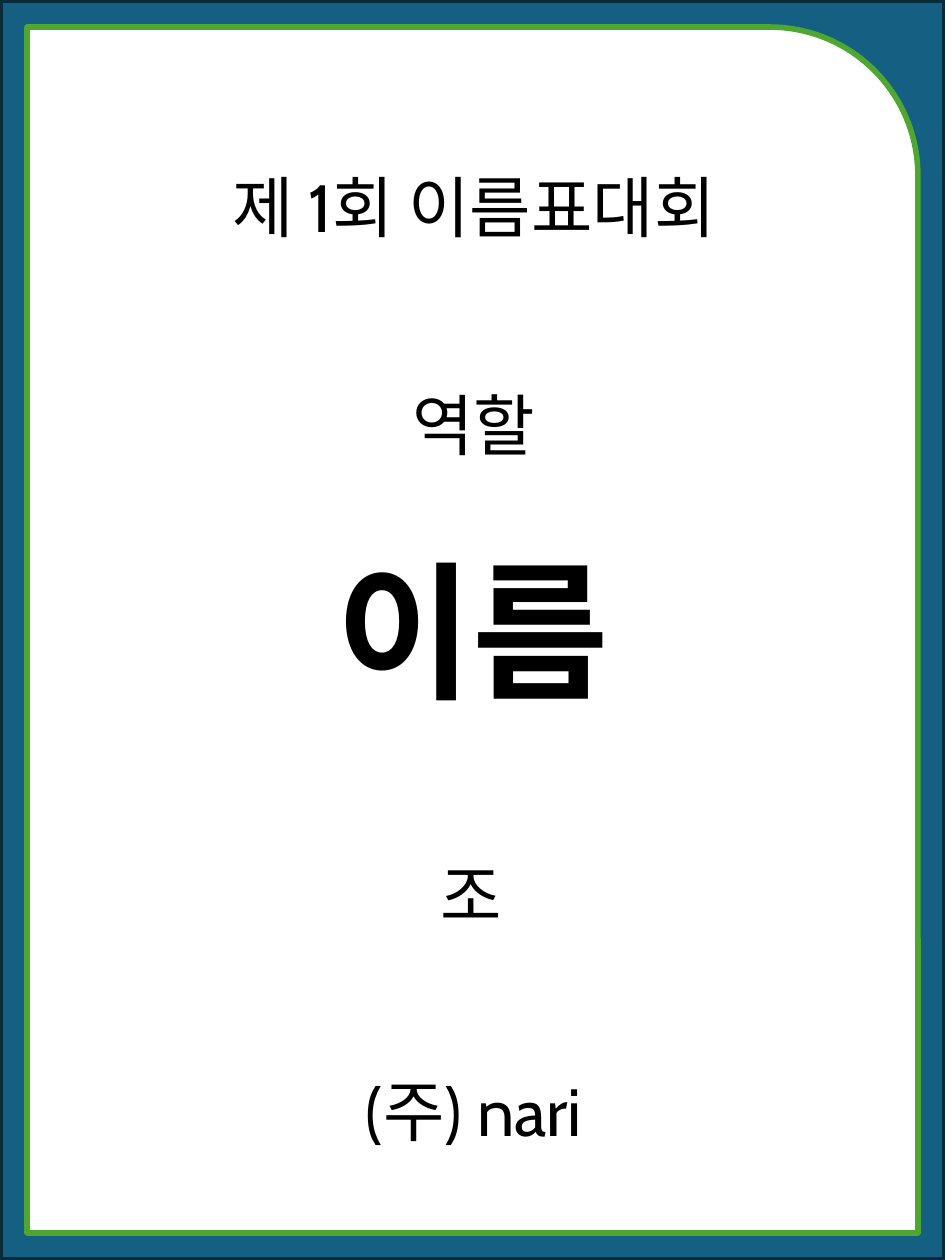
from lxml import etree
from pptx import Presentation
from pptx import util as u
from pptx.dml.color import RGBColor
from pptx.enum import shapes, text
from pptx.oxml.ns import qn

PX = 3426
WIDE, HIGH = 945, 1260
EDGE = 27
INNER = WIDE - 2 * EDGE
ROW = 107
FONT = "Cabin"
HUES = {
    "blue": "156082",
    "navy": "092A39",
    "green": "4EA72E",
    "white": "FFFFFF",
    "black": "000000",
}


def hue(name):
    return RGBColor.from_string(HUES[name])


def place(item, box):
    item.left, item.top, item.width, item.height = [u.Emu(n * PX) for n in box]


def panel(slide, kind, box, fill, line):
    item = slide.shapes.add_shape(kind, *[u.Emu(n * PX) for n in box])
    item.shadow.inherit = False
    item.fill.solid()
    item.fill.fore_color.rgb = hue(fill)
    item.line.color.rgb = hue(line)
    item.line.width = u.Pt(1.5)


def write(item, words, size=18, bold=False, wrap=True):
    frame = item.text_frame
    frame.word_wrap = wrap
    frame.auto_size = text.MSO_AUTO_SIZE.NONE
    frame.vertical_anchor = text.MSO_ANCHOR.TOP
    para = frame.paragraphs[0]
    para.alignment = text.PP_ALIGN.CENTER
    run = para.add_run()
    run.text = words
    font = run.font
    font.name = FONT
    font.size = u.Pt(size)
    font.bold = bold
    font.color.rgb = hue("black")
    east = etree.SubElement(run._r.get_or_add_rPr(), qn("a:ea"))
    east.set("typeface", FONT)


def label(slide, words, box, **style):
    item = slide.shapes.add_textbox(0, 0, 0, 0)
    place(item, box)
    write(item, words, **style)


def title(slide, words, box, **style):
    item = slide.shapes.title
    place(item, box)
    write(item, words, **style)
    slide.shapes._spTree.append(item._element)


def main():
    deck = Presentation()
    deck.slide_width = u.Emu(WIDE * PX)
    deck.slide_height = u.Emu(HIGH * PX)
    slide = deck.slides.add_slide(deck.slide_layouts[5])
    for mark in list(slide.placeholders):
        if mark.placeholder_format.idx:
            mark._element.getparent().remove(mark._element)

    kinds = shapes.MSO_SHAPE
    panel(slide, kinds.RECTANGLE, (0, 0, WIDE, HIGH), "blue", "navy")
    card = (EDGE, EDGE, INNER, HIGH - 2 * EDGE)
    panel(slide, kinds.ROUND_1_RECTANGLE, card, "white", "green")

    label(slide, "이름", (EDGE, 526, INNER, 206), size=40, bold=True)
    label(slide, "역할", (379, 371, 190, ROW), wrap=False)
    title(slide, "제 1회 이름표대회", (179, 152, 590, ROW), wrap=False)
    label(slide, "조", (251, 841, 440, ROW))
    label(slide, "(주) nari", (-120, 1057, 1188, ROW))
    deck.save("out.pptx")


if __name__ == "__main__":
    main()
